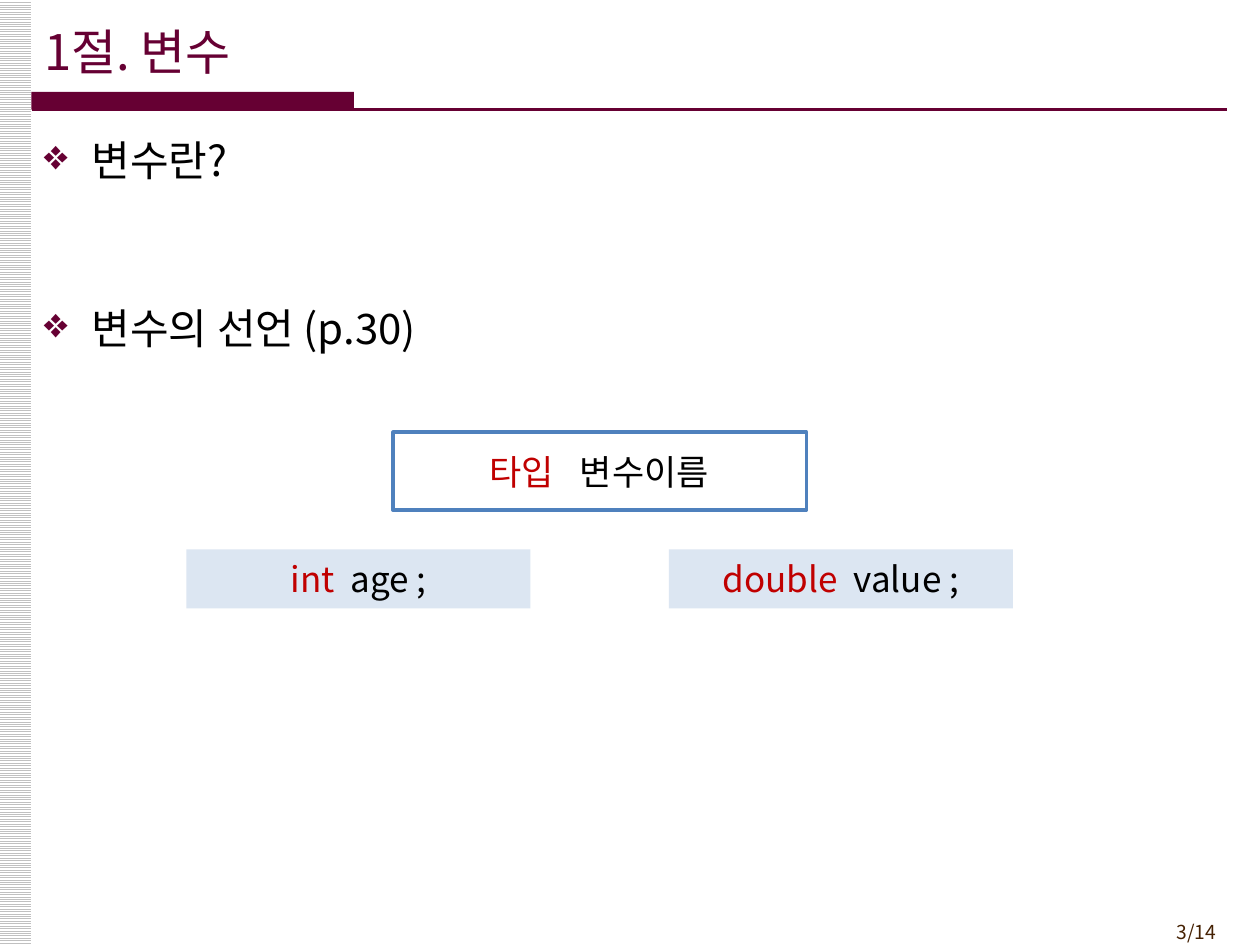
from dataclasses import dataclass

from lxml import etree
from pptx import Presentation
from pptx import util as u
from pptx.dml.color import RGBColor
from pptx.enum import dml, shapes, text
from pptx.oxml import ns


@dataclass(frozen=True)
class Theme:
    """Colours, font and type sizes of the slide."""
    font: str = "Noto Sans CJK KR"
    wine: str = "660033"
    ink: str = "000000"
    brown: str = "452103"
    keyword: str = "C00000"
    white: str = "FFFFFF"
    stripe: str = "C0C0C0"
    pale: str = "DCE6F2"
    blue: str = "4F81BD"
    title: int = 28
    body: int = 24
    code: int = 20
    page: int = 11


T = Theme()
COLS, ROWS = 40, 30
CELL = u.Inches(0.25)
LEFT, CENTER, RIGHT = text.PP_ALIGN.LEFT, text.PP_ALIGN.CENTER, text.PP_ALIGN.RIGHT


def rgb(code):
    """Return a colour from its hex code."""
    return RGBColor.from_string(code)


def grid(*cells):
    """Turn grid cells into lengths."""
    return [round(c * CELL) for c in cells]


def style(p, size, color, align=LEFT):
    """Format a paragraph, for Latin and Korean letters alike."""
    p.alignment = align
    p.font.size = u.Pt(size)
    p.font.color.rgb = rgb(color)
    p.font.name = T.font
    props = p._p.get_or_add_pPr().find(ns.qn("a:defRPr"))
    etree.SubElement(props, ns.qn("a:ea"), typeface=T.font)


def frame(sp):
    """Return a wrapping, middle-anchored text frame."""
    tf = sp.text_frame
    tf.word_wrap = True
    tf.auto_size = text.MSO_AUTO_SIZE.NONE
    tf.vertical_anchor = text.MSO_ANCHOR.MIDDLE
    return tf


def add_title(s, words, cells):
    """Place and format the title placeholder."""
    sp = s.shapes.title
    sp.left, sp.top, sp.width, sp.height = grid(*cells)
    p = frame(sp).paragraphs[0]
    p.text = words
    style(p, T.title, T.wine)


def add_box(s, cells, fill, runs=(), line=None):
    """Add a rectangle with an optional outline and centred coloured runs."""
    sp = s.shapes.add_shape(shapes.MSO_SHAPE.RECTANGLE, *grid(*cells))
    sp.shadow.inherit = False
    sp.fill.solid()
    sp.fill.fore_color.rgb = rgb(fill)
    if line:
        sp.line.color.rgb = rgb(line)
        sp.line.width = u.Pt(2)
    else:
        sp.line.fill.background()
    if runs:
        p = frame(sp).paragraphs[0]
        style(p, T.code, T.ink, CENTER)
        for words, color in runs:
            r = p.add_run()
            r.text = words
            r.font.color.rgb = rgb(color)
    return sp


def add_rule(s, start, end):
    """Add the thin line under the title."""
    cn = s.shapes.add_connector(shapes.MSO_CONNECTOR.STRAIGHT, *grid(*start, *end))
    cn.line.color.rgb = rgb(T.wine)
    cn.line.width = u.Pt(1.5)
    etree.SubElement(cn._element.spPr, ns.qn("a:effectLst"))


def add_bullets(s, cells, items, gap):
    """Add a diamond-bulleted list with a gap between its items."""
    tf = frame(s.shapes.add_textbox(*grid(*cells)))
    tf.vertical_anchor = text.MSO_ANCHOR.TOP
    for i, words in enumerate(items):
        p = tf.add_paragraph() if i else tf.paragraphs[0]
        p.text = words
        props = p._p.get_or_add_pPr()
        props.set("marL", str(u.Inches(0.38)))
        props.set("indent", str(-u.Inches(0.38)))
        color = etree.SubElement(props, ns.qn("a:buClr"))
        etree.SubElement(color, ns.qn("a:srgbClr"), val=T.wine)
        etree.SubElement(props, ns.qn("a:buChar"), char="❖")
        style(p, T.body, T.ink)
        p.space_before = u.Pt(gap if i else 0)


def add_page_number(s, words, cells):
    """Add the page number at the lower right."""
    p = frame(s.shapes.add_textbox(*grid(*cells))).paragraphs[0]
    p.text = words
    style(p, T.page, T.brown, RIGHT)


def add_master_look(s):
    """Add the striped margin and the title bar with its rule."""
    margin = add_box(s, (-0.04, 0, 1.04, ROWS), T.white)
    margin.fill.patterned()
    margin.fill.pattern = dml.MSO_PATTERN.LIGHT_HORIZONTAL
    margin.fill.fore_color.rgb = rgb(T.stripe)
    margin.fill.back_color.rgb = rgb(T.white)
    add_box(s, (1, 2.92, 10.24, 0.56), T.wine)
    add_rule(s, (1, 3.48), (38.96, 3.48))


def main():
    """Build the slide and save it."""
    prs = Presentation()
    prs.slide_width, prs.slide_height = grid(COLS, ROWS)
    s = prs.slides.add_slide(prs.slide_layouts[5])
    add_master_look(s)
    add_page_number(s, "3/14", (35.68, 29, 3.32, 1.16))
    add_bullets(s, (1, 4.08, 38, 25), ("변수란?", "변수의 선언 (p.30)"), 67)
    add_title(s, "1절. 변수", (1, 0.36, 33.08, 2.52))

    add_box(s, (12.48, 13.72, 13.12, 2.48), T.white, line=T.blue)
    add_box(s, (14.68, 14.04, 3.76, 1.88), T.white, [("타입", T.keyword)])
    add_box(s, (17.8, 14.04, 5.32, 1.88), T.white, [("변수이름", T.ink)])
    for i, (kind, name) in enumerate((("int", "age"), ("double", "value"))):
        runs = [(kind, T.keyword), (f"  {name} ;", T.ink)]
        add_box(s, (5.92 + i * 15.32, 17.44, 10.92, 1.88), T.pale, runs)
    prs.save("out.pptx")


if __name__ == "__main__":
    main()
